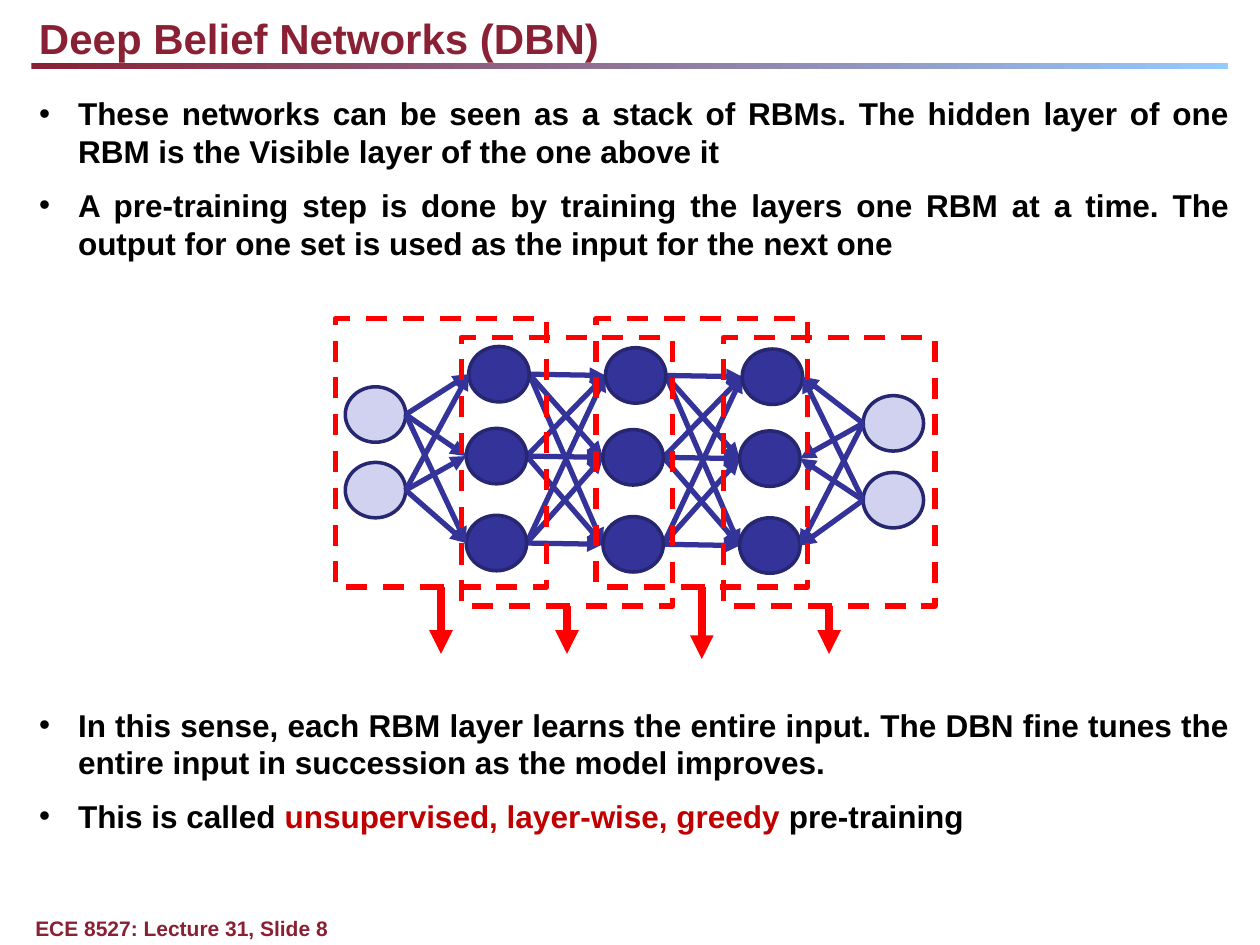
from itertools import product

from lxml.etree import SubElement
from pptx import Presentation
from pptx.dml.color import RGBColor
from pptx.enum.dml import MSO_LINE_DASH_STYLE as Dash
from pptx.enum.shapes import MSO_CONNECTOR as Connector, MSO_SHAPE as Shape
from pptx.enum.text import PP_ALIGN as Align
from pptx.oxml.ns import qn
from pptx.util import Inches, Pt

# Content
TITLE = "Deep Belief Networks (DBN)"
FOOTER = "ECE 8527: Lecture 31, Slide 8"
COLORS = {
    "maroon": "892034", "sky": "95CAFF", "black": "000000", "accent": "C00000",
    "visible": "D1D1F0", "hidden": "333399", "outline": "262671", "frame": "FF0000",
}
# Each bullet is a list of (text, colour) runs
INTRO = [
    [("These networks can be seen as a stack of RBMs. The hidden layer of one RBM "
      "is the Visible layer of the one above it", "black")],
    [("A pre-training step is done by training the layers one RBM at a time. The "
      "output for one set is used as the input for the next one", "black")],
]
SUMMARY = [
    [("In this sense, each RBM layer learns the entire input. The DBN fine tunes the "
      "entire input in succession as the model improves.", "black")],
    [("This is called ", "black"), ("unsupervised, layer-wise, greedy", "accent"),
     (" pre-training", "black")],
]

# Network geometry in inches
NODE_W, NODE_H = 0.48, 0.44
HIDDEN_ROWS = [(0.02, 2.75), (0, 3.4), (0, 4.09)]  # column offset, top
HIDDEN_LEFT, HIDDEN_STEP, HIDDEN_DROP = 3.7, 1.085, 0.01
HIDDEN = [
    [(HIDDEN_LEFT + i * HIDDEN_STEP + dx, y + i * HIDDEN_DROP) for dx, y in HIDDEN_ROWS]
    for i in range(3)
]
LEFT_VISIBLE = [(2.74, 3.07), (2.74, 3.67)]
RIGHT_VISIBLE = [(6.85, 3.14), (6.85, 3.75)]
FRAME_W, FRAME_H = 1.68, 2.13
FRAMES = [(2.66, 2.53, 5.19), (3.66, 2.68, 5.19),  # left, top, arrow tip
          (4.73, 2.53, 5.23), (5.74, 2.68, 5.19)]

presentation = Presentation()
presentation.slide_width, presentation.slide_height = Inches(10), Inches(7.5)
slide = presentation.slides.add_slide(presentation.slide_layouts[6])


def rgb(name):
    return RGBColor.from_string(COLORS[name])


def add_text(box, paragraphs, size, bullets=False):
    shape = slide.shapes.add_textbox(*map(Inches, box))
    frame = shape.text_frame
    frame.word_wrap = True
    frame.margin_left = frame.margin_right = frame.margin_top = frame.margin_bottom = 0
    for i, runs in enumerate(paragraphs):
        paragraph = frame.add_paragraph() if i else frame.paragraphs[0]
        if bullets:
            paragraph.alignment = Align.JUSTIFY
            paragraph.space_after = Pt(size / 2)
            properties = paragraph._p.get_or_add_pPr()
            properties.set("marL", str(Inches(0.31)))
            properties.set("indent", str(Inches(-0.31)))
            SubElement(properties, qn("a:buFont"), typeface="Arial")
            SubElement(properties, qn("a:buChar"), char="•")
        for text, color in runs:
            run = paragraph.add_run()
            run.text = text
            run.font.name, run.font.size, run.font.bold = "Arial", Pt(size), True
            run.font.color.rgb = rgb(color)


def add_box(kind, left, top, width, height, fill, line, weight):
    shape = slide.shapes.add_shape(kind, *map(Inches, (left, top, width, height)))
    shape.shadow.inherit = False
    if fill:
        shape.fill.solid()
        shape.fill.fore_color.rgb = rgb(fill)
    else:
        shape.fill.background()
    shape.line.color.rgb = rgb(line)
    shape.line.width = Pt(weight)
    return shape


def add_arrow(start, end, color, weight):
    arrow = slide.shapes.add_connector(Connector.STRAIGHT, *map(Inches, (*start, *end)))
    arrow.line.color.rgb = rgb(color)
    arrow.line.width = Pt(weight)
    SubElement(arrow.line._get_or_add_ln(), qn("a:tailEnd"), type="triangle")
    SubElement(arrow._element.spPr, qn("a:effectLst"))
    return arrow


def link_layers(sources, targets, rightward=True):
    """Join every source node's facing side to every target node's facing side."""
    out, into = (NODE_W, 0) if rightward else (0, NODE_W)
    for (x1, y1), (x2, y2) in product(sources, targets):
        add_arrow((x1 + out, y1 + NODE_H / 2), (x2 + into, y2 + NODE_H / 2), "hidden", 3)


# Title, rule and footer
rule = slide.shapes.add_shape(Shape.RECTANGLE, *map(Inches, (0.25, 0.5, 9.5, 0.05)))
rule.shadow.inherit = False
rule.line.fill.background()
rule.fill.gradient()
rule.fill.gradient_angle = 0
for stop, color in zip(rule.fill.gradient_stops, ("maroon", "sky")):
    stop.color.rgb = rgb(color)
add_text((0.28, 7.27, 8.92, 0.2), [[(FOOTER, "maroon")]], 12)
add_text((0.31, 0.1, 7.5, 0.4), [[(TITLE, "maroon")]], 24)

# Bullets above and below the network
add_text((0.31, 0.75, 9.45, 1.5), INTRO, 18, bullets=True)
add_text((0.31, 5.6, 9.45, 1.5), SUMMARY, 18, bullets=True)

# Network: hidden links lie behind the nodes, visible links in front
for sources, targets in zip(HIDDEN, HIDDEN[1:]):
    link_layers(sources, targets)
for layer in (LEFT_VISIBLE, *HIDDEN, RIGHT_VISIBLE):
    fill = "hidden" if layer in HIDDEN else "visible"
    for x, y in layer:
        add_box(Shape.OVAL, x, y, NODE_W, NODE_H, fill, "outline", 2)
link_layers(LEFT_VISIBLE, HIDDEN[0])
link_layers(RIGHT_VISIBLE, HIDDEN[-1], rightward=False)

# Dashed frame around each RBM, with an arrow below it
for left, top, tip in FRAMES:
    frame = add_box(Shape.RECTANGLE, left, top, FRAME_W, FRAME_H, None, "frame", 3)
    frame.line.dash_style = Dash.DASH
    middle = left + FRAME_W / 2
    arrow = add_arrow((middle, top + FRAME_H), (middle, tip), "frame", 4.5)
    arrow.begin_connect(frame, 2)

presentation.save("out.pptx")
